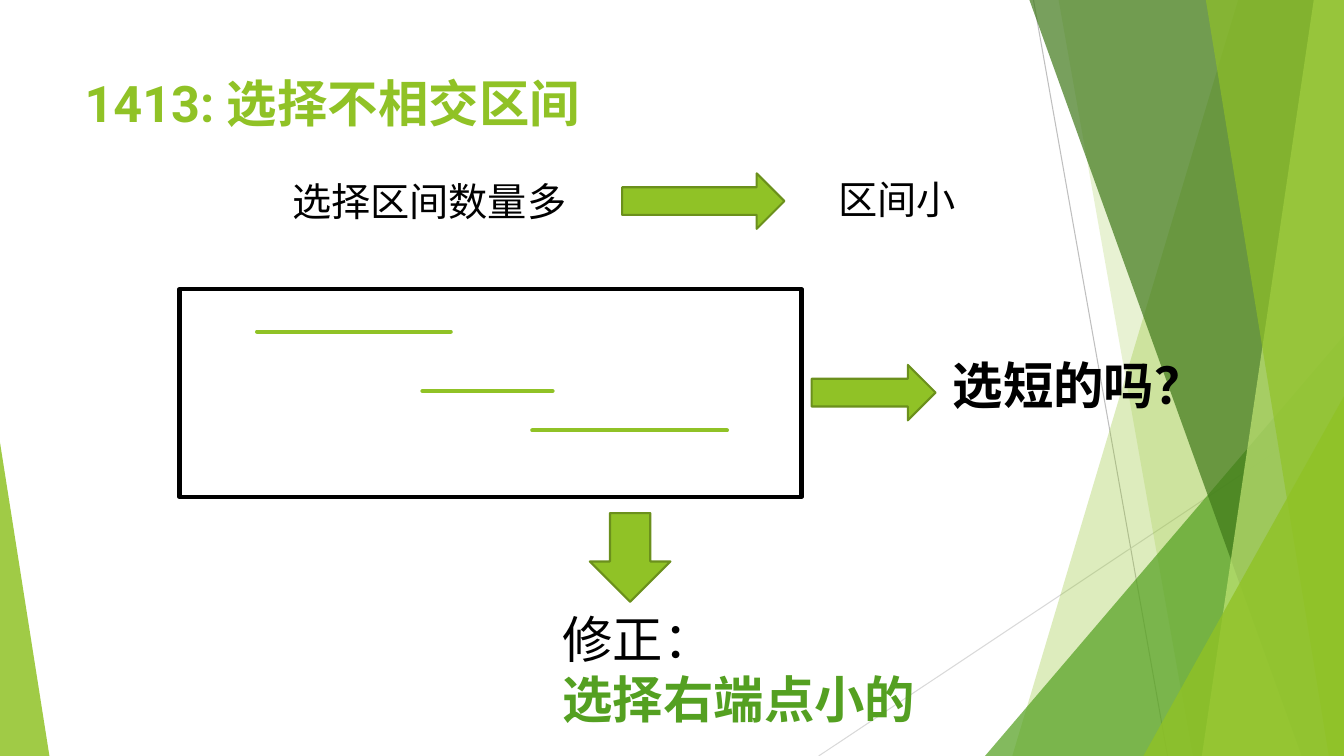
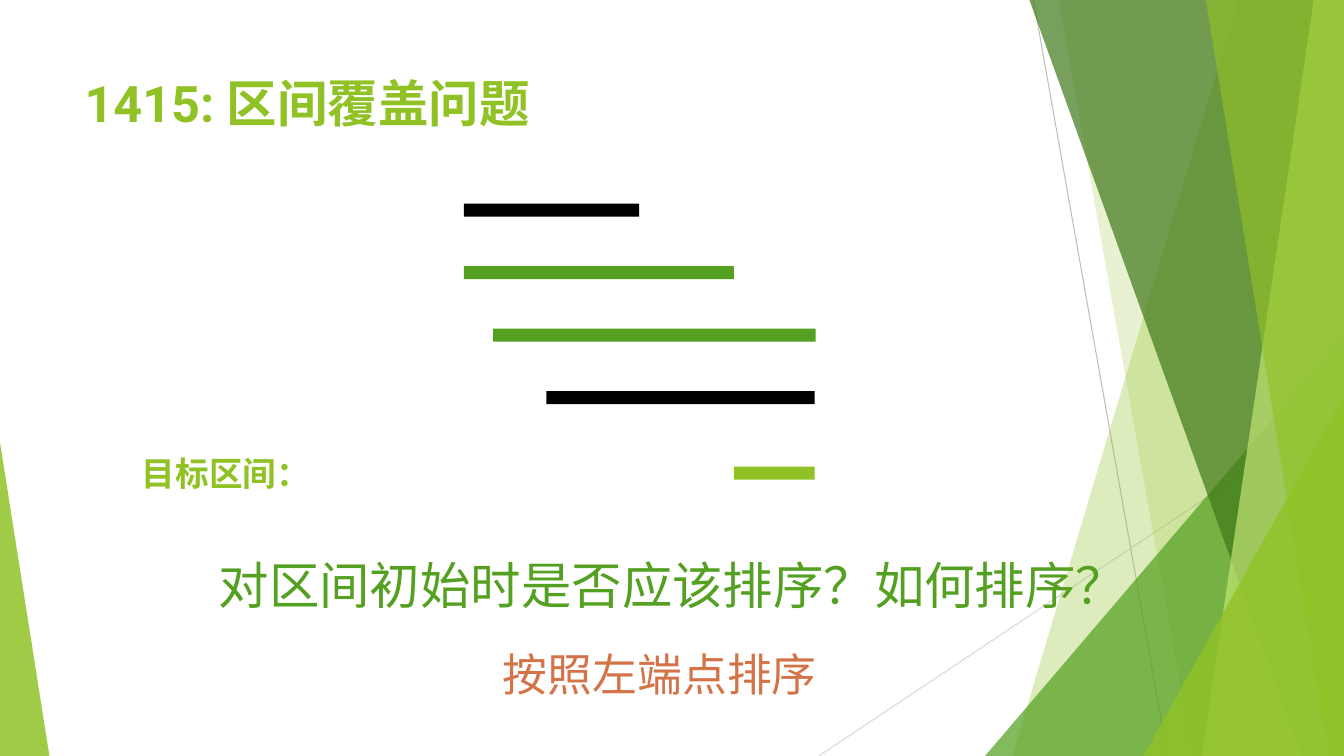
from lxml import etree
from pptx import Presentation
from pptx.dml.color import RGBColor
from pptx.enum.lang import MSO_LANGUAGE_ID
from pptx.enum.shapes import MSO_CONNECTOR, MSO_SHAPE
from pptx.enum.text import PP_ALIGN
from pptx.oxml.ns import qn
from pptx.util import Pt

PX = 9144  # EMU per px, 100 px to the inch
WIDTH, HEIGHT = 1333, 750

STRAIGHT = MSO_CONNECTOR.STRAIGHT
RECTANGLE, TRIANGLE = MSO_SHAPE.RECTANGLE, MSO_SHAPE.ISOSCELES_TRIANGLE
RIGHT_ARROW, DOWN_ARROW = MSO_SHAPE.RIGHT_ARROW, MSO_SHAPE.DOWN_ARROW
CENTER = PP_ALIGN.CENTER
CHINESE = MSO_LANGUAGE_ID.SIMPLIFIED_CHINESE

COLORS = {
    "lime": "90C226", "green": "54A021", "forest": "3F7819", "pale": "C0E474",
    "olive": "6B901C", "orange": "D47348", "black": "000000",
    "gray": "BFBFBF", "silver": "D9D9D9",
}
ROBOTO, ARIAL, NOTO = "Roboto", "Arial", "Noto Sans CJK SC"

# Shared backdrop
RAYS = [((1025, 0), (1158, 750), "gray"), ((1333, 403), (812, 750), "silver")]
# Bands reach the right edge: top x, bottom x, colour, opacity.
# Corners stand on the bottom edge: left, top, width, peak, colour, opacity.
BACKDROP = [
    ("band", 1228, 1004, "lime", 30),
    ("band", 1050, 1183, "lime", 20),
    ("corner", 977, 333, 356, 1, "green", 72),
    ("band", 1021, 1291, "forest", 70),
    ("band", 1303, 1192, "pale", 70),
    ("band", 1196, 1318, "lime", 65),
    ("corner", 1134, 393, 199, 1, "lime", 80),
    ("corner", 0, 439, 49, 0, "lime", 85),
]

# Slide 1
FRAME = (178, 287, 617, 206)
INTERVALS = [(255, 447, 329), (528, 721, 427), (419, 548, 388)]  # left, right, y
ARROWS = [
    (RIGHT_ARROW, (617, 172, 161, 55)),
    (RIGHT_ARROW, (805, 362, 123, 55)),
    (DOWN_ARROW, (585, 509, 80, 88)),
]
CHOICE_TEXTS = [
    ((280, 171, 293, 57), "选择区间数量多", dict(size=28)),
    ((822, 169, 197, 57), "区间小", dict(size=28)),
    ((935, 346, 279, 71), "选短的吗？", dict(size=36, font=ARIAL, bold=True)),
]
FIX_BOX = (548, 598, 406, 131)
FIX_LINES = [
    ("修正：", dict(size=36, font=NOTO)),
    ("选择右端点小的", dict(size=36, font=ARIAL, color="green", bold=True)),
]

# Slide 2
BAR_TOP, BAR_STEP, BAR_HEIGHT = 202, 62, 13
BARS = [(460, 634, "black"), (460, 728, "green"), (489, 809, "green"), (542, 808, "black")]
TARGET = (728, 463, 80, BAR_HEIGHT)
COVER_TEXTS = [
    ((131, 444, 217, 50), "目标区间：", dict(size=24, color="lime", bold=True)),
    ((200, 545, 934, 71), "对区间初始时是否应该排序？如何排序？",
     dict(size=36, font=NOTO, color="green", align=CENTER)),
    ((489, 637, 355, 64), "按照左端点排序", dict(size=32, color="orange")),
]


def rgb(name):
    return RGBColor.from_string(COLORS[name])


def scaled(lengths):
    return [length * PX for length in lengths]


def paint(shape, fill=None, line=None, weight=0, opacity=100):
    shape.shadow.inherit = False
    if fill:
        shape.fill.solid()
        shape.fill.fore_color.rgb = rgb(fill)
        if opacity < 100:
            color = shape.fill._xPr.find(qn("a:solidFill"))[0]
            etree.SubElement(color, qn("a:alpha")).set("val", str(opacity * 1000))
    else:
        shape.fill.background()
    if line:
        shape.line.color.rgb = rgb(line)
        shape.line.width = Pt(weight)
    else:
        shape.line.fill.background()


def add_figure(page, kind, area, **style):
    shape = page.shapes.add_shape(kind, *scaled(area))
    paint(shape, **style)
    return shape


def add_line(page, start, end, color, weight, round_cap=False):
    line = page.shapes.add_connector(STRAIGHT, *scaled(start + end))
    line.line.color.rgb = rgb(color)
    line.line.width = Pt(weight)
    properties = line._element.spPr
    if round_cap:
        properties.find(qn("a:ln")).set("cap", "rnd")
    etree.SubElement(properties, qn("a:effectLst"))


def write(para, text, size=28, font=ROBOTO, color="black", bold=False, align=None):
    para.alignment = align
    span = para.add_run()
    span.text = text
    span.font.size = Pt(size)
    span.font.bold = bold
    span.font.color.rgb = rgb(color)
    span.font.language_id = CHINESE
    span.font.name = font
    east_asian = etree.SubElement(span._r.get_or_add_rPr(), qn("a:ea"))
    east_asian.set("typeface", NOTO)


def add_text(page, area, lines):
    """Add a box with one paragraph for each (text, format) pair."""
    frame = page.shapes.add_textbox(*scaled(area)).text_frame
    frame.word_wrap = True
    for index, (text, style) in enumerate(lines):
        para = frame.add_paragraph() if index else frame.paragraphs[0]
        write(para, text, **style)


def add_band(page, top_x, bottom_x, color, opacity):
    outline = page.shapes.build_freeform(top_x, 0, scale=PX)
    outline.add_line_segments([(WIDTH, 0), (WIDTH, HEIGHT), (bottom_x, HEIGHT)])
    paint(outline.convert_to_shape(), color, opacity=opacity)


def add_corner(page, left, top, width, peak, color, opacity):
    area = (left, top, width, HEIGHT - top)
    add_figure(page, TRIANGLE, area, fill=color, opacity=opacity).adjustments[0] = peak


def add_page(deck, title):
    """Add a blank page with the shared backdrop and title."""
    page = deck.slides.add_slide(deck.slide_layouts[6])
    for start, end, color in RAYS:
        add_line(page, start, end, color, 0.75)
    for kind, *values in BACKDROP:
        (add_band if kind == "band" else add_corner)(page, *values)
    add_text(page, (74, 67, 940, 144), [(title, dict(size=36, color="lime", bold=True))])
    return page


def add_choice_page(deck):
    page = add_page(deck, "1413: 选择不相交区间")
    for left, right, y in INTERVALS:
        add_line(page, (left, y), (right, y), "lime", 3, round_cap=True)
    add_figure(page, RECTANGLE, FRAME, line="black", weight=3)
    for kind, area in ARROWS:
        add_figure(page, kind, area, fill="lime", line="olive", weight=1.5)
    for area, text, style in CHOICE_TEXTS:
        add_text(page, area, [(text, style)])
    add_text(page, FIX_BOX, FIX_LINES)


def add_cover_page(deck):
    page = add_page(deck, "1415: 区间覆盖问题")
    for row, (left, right, color) in enumerate(BARS):
        area = (left, BAR_TOP + row * BAR_STEP, right - left, BAR_HEIGHT)
        add_figure(page, RECTANGLE, area, fill=color)
    add_figure(page, RECTANGLE, TARGET, fill="lime")
    for area, text, style in COVER_TEXTS:
        add_text(page, area, [(text, style)])


def main():
    deck = Presentation()
    deck.slide_width, deck.slide_height = scaled((WIDTH, HEIGHT))
    add_choice_page(deck)
    add_cover_page(deck)
    deck.save("out.pptx")


if __name__ == "__main__":
    main()
